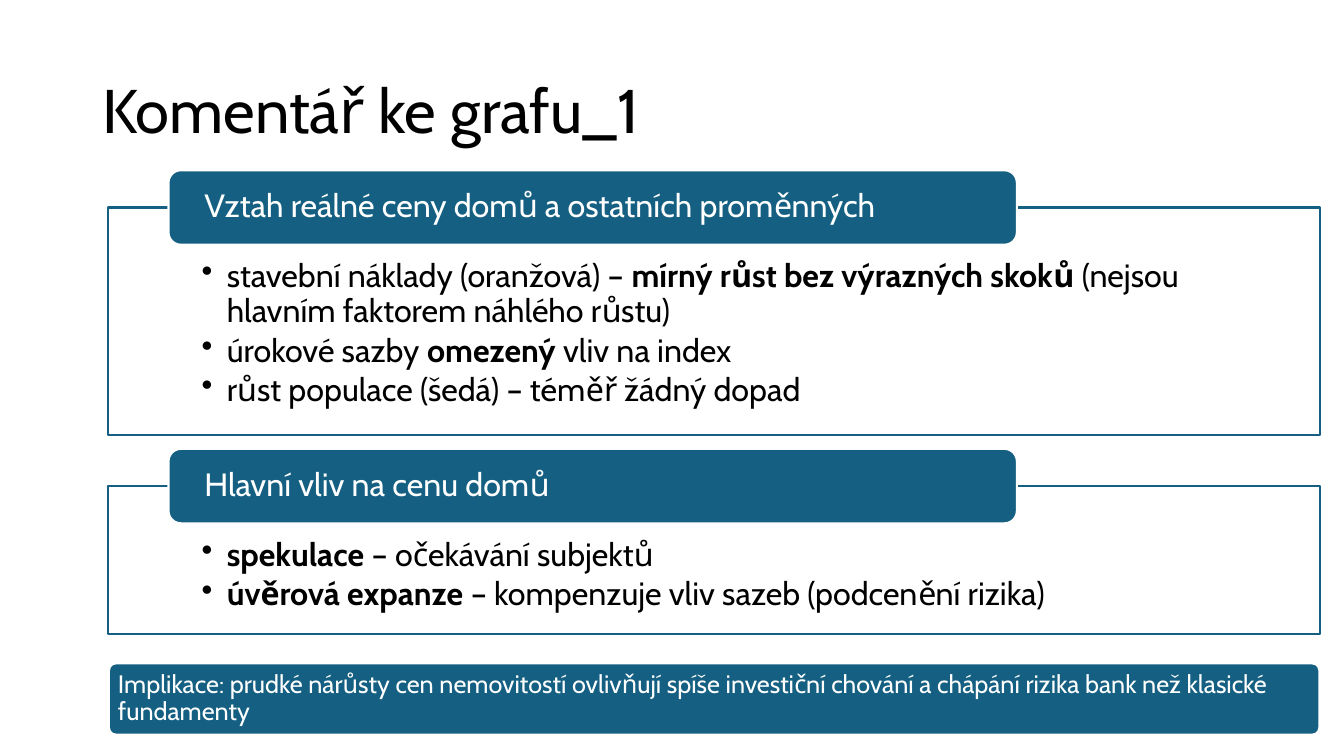
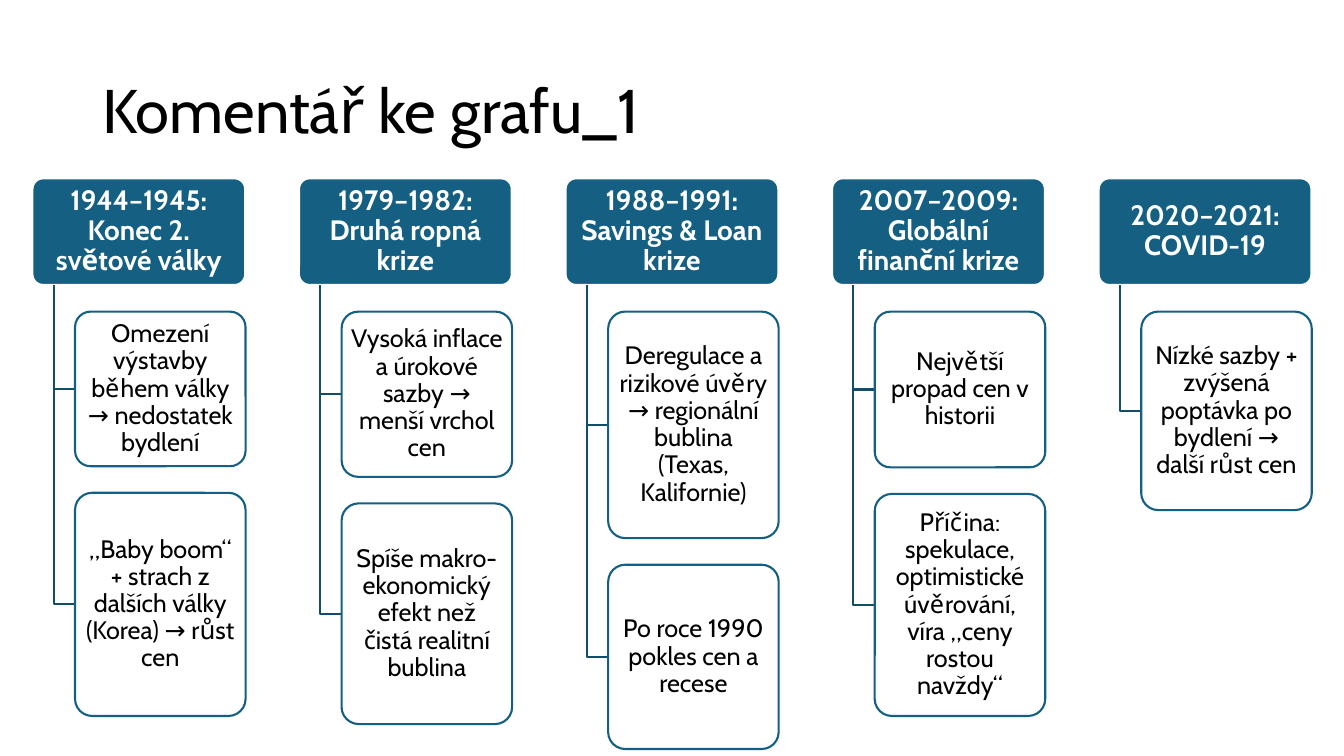
"""Build two slides commenting on a house price chart."""
from dataclasses import dataclass

from lxml import etree
from pptx import Presentation
from pptx import util as u
from pptx.dml import color
from pptx.enum import shapes, text
from pptx.oxml import ns

COLOURS = {"main": "156082", "branch": "114D68", "paper": "FFFFFF", "ink": "000000"}
FONT = "Cabin"
TITLE = "Komentář ke grafu_1"
LINE_WIDTH = 1.5
RECTANGLE = shapes.MSO_SHAPE.RECTANGLE
ROUNDED = shapes.MSO_SHAPE.ROUNDED_RECTANGLE
LEFT, CENTRE = text.PP_ALIGN.LEFT, text.PP_ALIGN.CENTER
TOP, MIDDLE = text.MSO_ANCHOR.TOP, text.MSO_ANCHOR.MIDDLE

PANEL_LEFT, PANEL_WIDTH = 77, 866
TAG_LEFT, TAG_WIDTH, TAG_HEIGHT, TAG_RISE = 120.4, 606, 53.2, 26.6
COLUMN_LEFT, COLUMN_STEP = 23.2, 190.4
HEADER_TOP, HEADER_WIDTH, HEADER_HEIGHT = 127.4, 152, 76.2
CARD_INDENT, CARD_WIDTH, CARD_GAP = 30.4, 121.8, 19


@dataclass(frozen=True)
class Span:
    words: str
    bold: bool = False


@dataclass(frozen=True)
class Style:
    size: float
    colour: str = "ink"
    align: text.PP_ALIGN = LEFT
    anchor: text.MSO_ANCHOR = MIDDLE
    insets: tuple[float, float, float, float] = (0, 0, 0, 0)
    bullets: bool = False


@dataclass(frozen=True)
class Area:
    left: float
    top: float
    width: float
    height: float

    def lengths(self) -> list[u.Length]:
        return [u.Pt(value) for value in (self.left, self.top, self.width, self.height)]


@dataclass(frozen=True)
class Panel:
    top: float
    height: float
    heading: str
    points: list[list[Span]]


@dataclass(frozen=True)
class Card:
    height: float
    words: str


@dataclass(frozen=True)
class Era:
    heading: str
    cards: list[Card]


STYLES = {
    "title": Style(44, insets=(7.2, 3.6, 7.2, 3.6)),
    "points": Style(23, anchor=TOP, insets=(67, 37.4, 67, 13), bullets=True),
    "tag": Style(23, "paper", insets=(23, 0, 23, 0)),
    "banner": Style(18, "paper", insets=(5, 5, 5, 5)),
    "header": Style(20, "paper", CENTRE, insets=(3, 2, 3, 2)),
    "card": Style(18, align=CENTRE, insets=(3, 2, 3, 2)),
}

PANELS = [
    Panel(148.2, 162.8, "Vztah reálné ceny domů a ostatních proměnných", [
        [Span("stavební náklady (oranžová) – "),
         Span("mírný růst bez výrazných skoků ", True),
         Span("(nejsou hlavním faktorem náhlého růstu)")],
        [Span("úrokové sazby "), Span("omezený", True), Span(" vliv na index")],
        [Span("růst populace (šedá) – téměř žádný dopad")],
    ]),
    Panel(347.2, 105.8, "Hlavní vliv na cenu domů", [
        [Span("spekulace", True), Span(" – očekávání subjektů")],
        [Span("úvěrová expanze ", True),
         Span("– kompenzuje vliv sazeb (podcenění rizika)")],
    ]),
]
BANNER = ("Implikace: prudké nárůsty cen nemovitostí ovlivňují spíše investiční "
          "chování a chápání rizika bank než klasické fundamenty")

ERAS = [
    Era("1944–1945: Konec 2. světové války", [
        Card(110.4, "Omezení výstavby během války → nedostatek bydlení"),
        Card(159.4, "„Baby boom“ + strach z dalších války (Korea) → růst cen"),
    ]),
    Era("1979–1982: Druhá ropná krize", [
        Card(118, "Vysoká inflace a úrokové sazby → menší vrchol cen"),
        Card(157.6, "Spíše makro-ekonomický efekt než čistá realitní bublina"),
    ]),
    Era("1988–1991: Savings & Loan krize", [
        Card(161.8, "Deregulace a rizikové úvěry → regionální bublina (Texas, Kalifornie)"),
        Card(131.6, "Po roce 1990 pokles cen a recese"),
    ]),
    Era("2007–2009: Globální finanční krize", [
        Card(111.2, "Největší propad cen v historii"),
        Card(158.6, "Příčina: spekulace, optimistické úvěrování, víra „ceny rostou navždy“"),
    ]),
    Era("2020–2021: COVID-19", [
        Card(141.8, "Nízké sazby + zvýšená poptávka po bydlení → další růst cen"),
    ]),
]


def rgb(name: str) -> color.RGBColor:
    return color.RGBColor.from_string(COLOURS[name])


def apply(target, formats: dict) -> None:
    for name, value in formats.items():
        setattr(target, name, value)


def write(box, style: Style, paragraphs: list[list[Span]]) -> None:
    frame = box.text_frame
    sides = ("margin_left", "margin_top", "margin_right", "margin_bottom")
    apply(frame, {"word_wrap": True, "vertical_anchor": style.anchor,
                  **{side: u.Pt(inset) for side, inset in zip(sides, style.insets)}})
    for index, spans in enumerate(paragraphs):
        para = frame.add_paragraph() if index else frame.paragraphs[0]
        apply(para, {"alignment": style.align, "line_spacing": 0.9})
        if style.bullets:
            add_bullet(para, style.size)
        for span in spans:
            run = para.add_run()
            run.text = span.words
            apply(run.font, {"name": FONT, "size": u.Pt(style.size), "bold": span.bold})
            run.font.color.rgb = rgb(style.colour)


def add_bullet(para, size: float) -> None:
    para.space_after = u.Pt(0.15 * size)
    properties = para._p.get_or_add_pPr()
    properties.set("marL", str(u.Pt(18)))
    properties.set("indent", str(u.Pt(-18)))
    etree.SubElement(properties, ns.qn("a:buChar"), char="•")


def add_box(page, kind, area: Area, style: Style, paragraphs: list[list[Span]],
            solid: bool, corner: float | None = None) -> None:
    box = page.shapes.add_shape(kind, *area.lengths())
    box.shadow.inherit = False
    if corner is not None:
        box.adjustments[0] = corner
    box.fill.solid()
    box.fill.fore_color.rgb = rgb("main" if solid else "paper")
    if not solid:
        shade = box._element.spPr.find(ns.qn("a:solidFill"))[0]
        etree.SubElement(shade, ns.qn("a:alpha"), val="90000")
    box.line.color.rgb = rgb("paper" if solid else "main")
    box.line.width = u.Pt(LINE_WIDTH)
    write(box, style, paragraphs)


def add_branch(page, left: float, top: float, right: float, bottom: float) -> None:
    builder = page.shapes.build_freeform(u.Pt(left), u.Pt(top))
    builder.add_line_segments(
        [(u.Pt(left), u.Pt(bottom)), (u.Pt(right), u.Pt(bottom))], close=False)
    branch = builder.convert_to_shape()
    branch.shadow.inherit = False
    branch.fill.background()
    branch.line.color.rgb = rgb("branch")
    branch.line.width = u.Pt(LINE_WIDTH)


def add_page(deck):
    page = deck.slides.add_slide(deck.slide_layouts[6])
    box = page.shapes.add_textbox(*Area(66, 28.8, 828, 104.4).lengths())
    write(box, STYLES["title"], [[Span(TITLE)]])
    return page


def draw_panel(page, panel: Panel) -> None:
    add_box(page, RECTANGLE, Area(PANEL_LEFT, panel.top, PANEL_WIDTH, panel.height),
            STYLES["points"], panel.points, solid=False)
    add_box(page, ROUNDED, Area(TAG_LEFT, panel.top - TAG_RISE, TAG_WIDTH, TAG_HEIGHT),
            STYLES["tag"], [[Span(panel.heading)]], solid=True)


def draw_era(page, era: Era, left: float) -> None:
    add_box(page, ROUNDED, Area(left, HEADER_TOP, HEADER_WIDTH, HEADER_HEIGHT),
            STYLES["header"], [[Span(era.heading, True)]], solid=True, corner=0.1)
    header_bottom = HEADER_TOP + HEADER_HEIGHT
    card_left = left + CARD_INDENT
    top = header_bottom + CARD_GAP
    for card in era.cards:
        add_branch(page, left + CARD_INDENT / 2, header_bottom,
                   card_left, top + card.height / 2)
        add_box(page, ROUNDED, Area(card_left, top, CARD_WIDTH, card.height),
                STYLES["card"], [[Span(card.words)]], solid=False, corner=0.1)
        top += card.height + CARD_GAP


def main() -> None:
    deck = Presentation()
    apply(deck, {"slide_width": u.Pt(960), "slide_height": u.Pt(540)})
    page = add_page(deck)
    for panel in PANELS:
        draw_panel(page, panel)
    add_box(page, ROUNDED, Area(77.8, 473.8, 864.6, 51), STYLES["banner"],
            [[Span(BANNER)]], solid=True, corner=0.1)
    page = add_page(deck)
    for index, era in enumerate(ERAS):
        draw_era(page, era, COLUMN_LEFT + index * COLUMN_STEP)
    deck.save("out.pptx")


if __name__ == "__main__":
    main()
